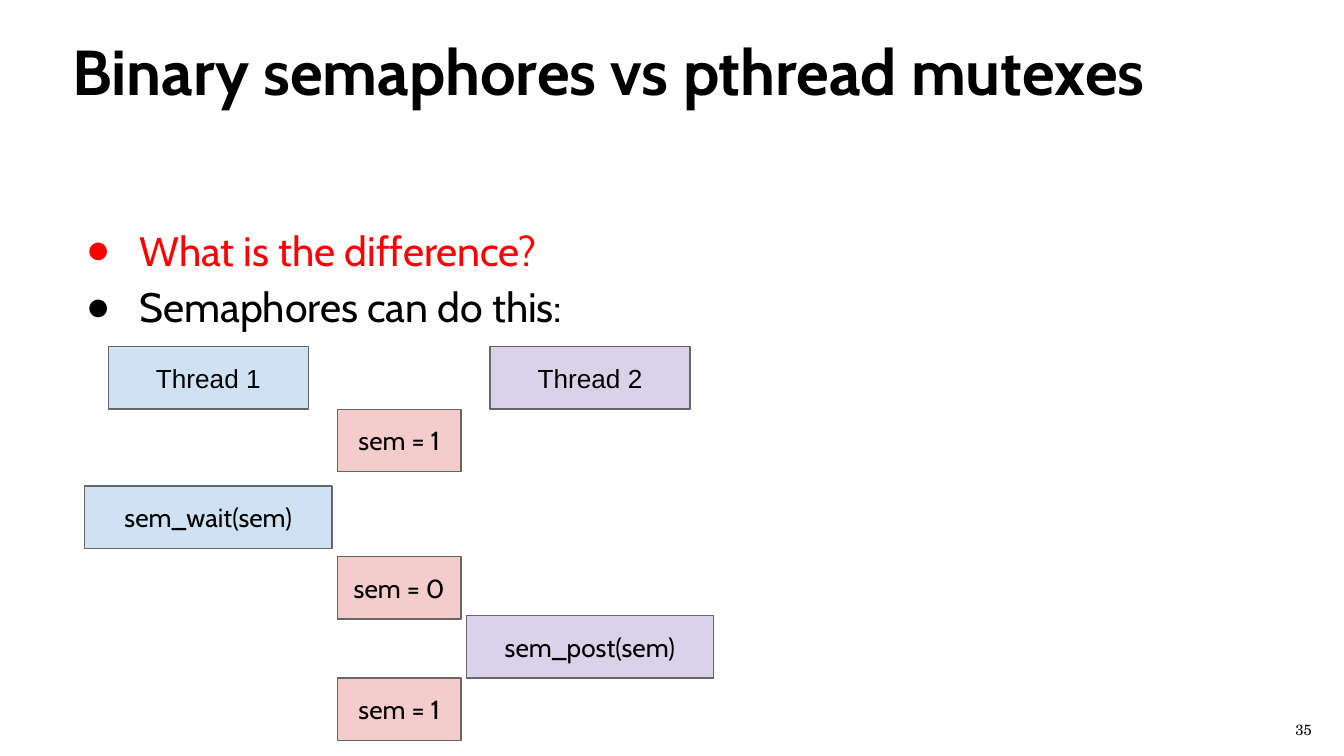
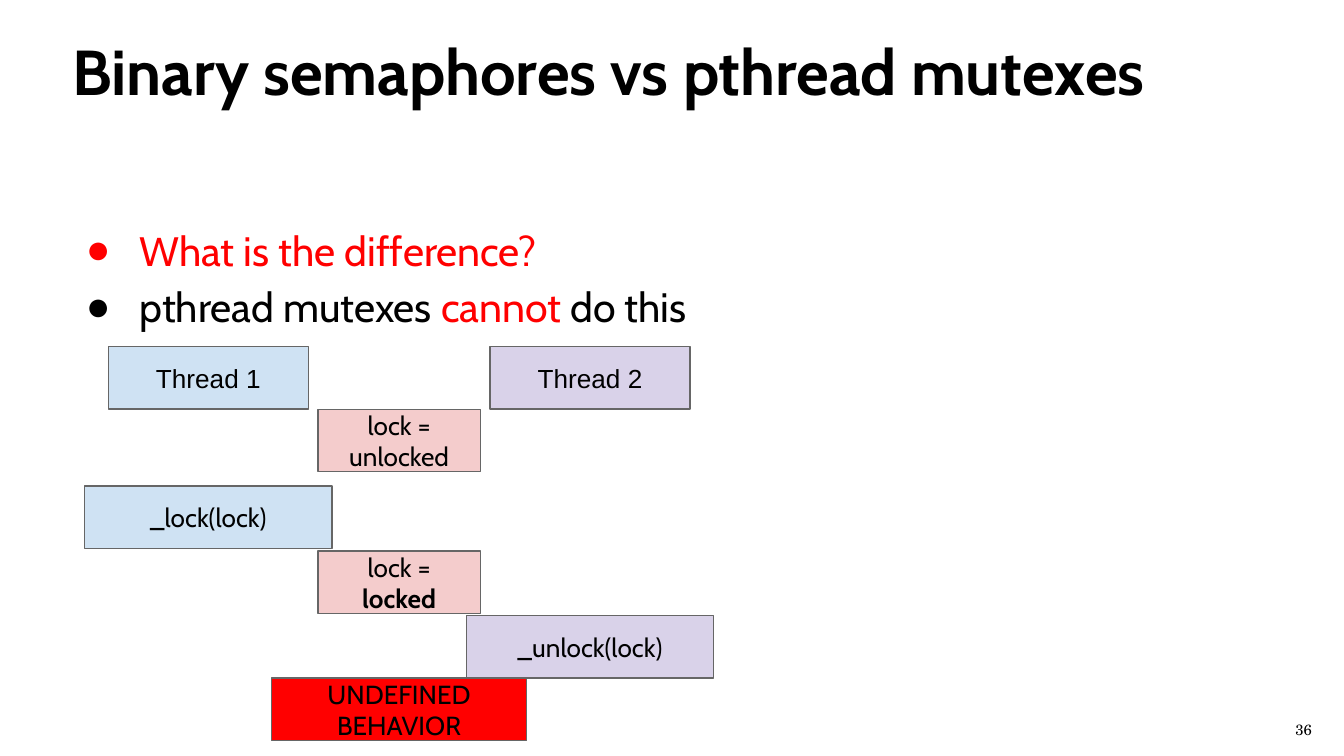
from dataclasses import dataclass

from lxml import etree
from pptx import Presentation
from pptx import util as u
from pptx.dml.color import RGBColor
from pptx.enum import shapes, text
from pptx.oxml import ns

PX = 4572
SLIDE_WIDTH, SLIDE_HEIGHT = 2000, 1125
INSET = 20
BOX_HEIGHT = 93

BLACK = RGBColor(0x00, 0x00, 0x00)
RED = RGBColor(0xFF, 0x00, 0x00)
WHITE = RGBColor(0xFF, 0xFF, 0xFF)
GRAY = RGBColor(0x66, 0x66, 0x66)
BLUE = RGBColor(0xCF, 0xE2, 0xF3)
PURPLE = RGBColor(0xD9, 0xD2, 0xE9)
PINK = RGBColor(0xF4, 0xCC, 0xCC)

CABIN = "Cabin"
ARIAL = "Arial"
SCHOLA = "TeX Gyre Schola"

TITLE = "Binary semaphores vs pthread mutexes"


@dataclass(frozen=True)
class Span:
    text: str
    color: RGBColor = BLACK
    bold: bool = False


@dataclass(frozen=True)
class Style:
    font: str
    size: int
    align: text.PP_ALIGN = text.PP_ALIGN.LEFT


@dataclass(frozen=True)
class Lane:
    center: int
    fill: RGBColor


@dataclass(frozen=True)
class Step:
    lane: Lane
    top: int
    width: int
    spans: tuple[Span, ...]
    font: str = CABIN


@dataclass(frozen=True)
class Page:
    number: int
    bullets: tuple[tuple[Span, ...], ...]
    steps: tuple[Step, ...]


TITLE_STYLE = Style(CABIN, 34)
BULLET_STYLE = Style(CABIN, 22)
NUMBER_STYLE = Style(SCHOLA, 8, text.PP_ALIGN.CENTER)

FIRST = Lane(310, BLUE)
SECOND = Lane(878, PURPLE)
STATE = Lane(594, PINK)
FAILURE = Lane(594, RED)

THREAD_WIDTH, CALL_WIDTH = 298, 368
SEM_WIDTH, LOCK_WIDTH, FAILURE_WIDTH = 184, 242, 380
HEADER_TOP, START_TOP, TAKE_TOP, RELEASE_TOP, END_TOP = 516, 609, 723, 916, 1009

QUESTION = (Span("What is the difference?", RED),)
THREADS = tuple(
    Step(lane, HEADER_TOP, THREAD_WIDTH, (Span(f"Thread {number}"),), ARIAL)
    for number, lane in enumerate((FIRST, SECOND), 1)
)


def calls(take: str, release: str) -> tuple[Step, ...]:
    return (
        Step(FIRST, TAKE_TOP, CALL_WIDTH, (Span(take),)),
        Step(SECOND, RELEASE_TOP, CALL_WIDTH, (Span(release),)),
    )


PAGES = (
    Page(
        35,
        (QUESTION, (Span("Semaphores can do this:"),)),
        calls("sem_wait(sem)", "sem_post(sem)")
        + THREADS
        + tuple(
            Step(STATE, top, SEM_WIDTH, (Span(f"sem = {value}"),))
            for top, value in ((START_TOP, 1), (828, 0), (END_TOP, 1))
        ),
    ),
    Page(
        36,
        (QUESTION, (Span("pthread mutexes "), Span("cannot", RED), Span(" do this"))),
        calls("_lock(lock)", "_unlock(lock)")
        + THREADS
        + (
            Step(STATE, START_TOP, LOCK_WIDTH, (Span("lock = unlocked"),)),
            Step(FAILURE, END_TOP, FAILURE_WIDTH, (Span("UNDEFINED BEHAVIOR"),)),
            Step(STATE, 820, LOCK_WIDTH, (Span("lock = "), Span("locked", bold=True))),
        ),
    ),
)


def px(length: int) -> u.Emu:
    return u.Emu(length * PX)


def prepare_frame(frame, anchor: text.MSO_ANCHOR) -> None:
    frame.word_wrap = True
    frame.auto_size = text.MSO_AUTO_SIZE.NONE
    frame.vertical_anchor = anchor
    frame.margin_left = frame.margin_right = px(INSET)
    frame.margin_top = frame.margin_bottom = px(INSET)


def write_spans(para, spans: tuple[Span, ...], style: Style) -> None:
    para.alignment = style.align
    para.font.name = style.font
    para.font.size = u.Pt(style.size)
    same_color = len({span.color for span in spans}) == 1
    same_weight = len({span.bold for span in spans}) == 1
    if same_color:
        para.font.color.rgb = spans[0].color
    if same_weight:
        para.font.bold = spans[0].bold
    for span in spans:
        run = para.add_run()
        run.text = span.text
        if not same_color:
            run.font.color.rgb = span.color
        if not same_weight:
            run.font.bold = span.bold


def add_bullet(para, color: RGBColor) -> None:
    para.line_spacing = 1.15
    properties = para._p.get_or_add_pPr()
    properties.set("marL", str(px(100)))
    properties.set("indent", str(px(-80)))
    bullet_color = etree.SubElement(properties, ns.qn("a:buClr"))
    etree.SubElement(bullet_color, ns.qn("a:srgbClr"), val=str(color))
    etree.SubElement(properties, ns.qn("a:buFont"), typeface=ARIAL)
    etree.SubElement(properties, ns.qn("a:buChar"), char="●")


def add_text(slide, left: int, top: int, width: int, height: int, anchor: text.MSO_ANCHOR):
    box = slide.shapes.add_textbox(px(left), px(top), px(width), px(height))
    prepare_frame(box.text_frame, anchor)
    return box.text_frame


def draw_bullets(slide, bullets: tuple[tuple[Span, ...], ...]) -> None:
    frame = add_text(slide, 88, 304, 1832, 804, text.MSO_ANCHOR.TOP)
    for index, spans in enumerate(bullets):
        para = frame.add_paragraph() if index else frame.paragraphs[0]
        add_bullet(para, spans[0].color)
        write_spans(para, spans, BULLET_STYLE)


def draw_step(slide, step: Step) -> None:
    box = slide.shapes.add_shape(
        shapes.MSO_SHAPE.RECTANGLE,
        px(step.lane.center - step.width // 2),
        px(step.top),
        px(step.width),
        px(BOX_HEIGHT),
    )
    box.shadow.inherit = False
    box.fill.solid()
    box.fill.fore_color.rgb = step.lane.fill
    box.line.color.rgb = GRAY
    box.line.width = u.Pt(0.75)
    prepare_frame(box.text_frame, text.MSO_ANCHOR.MIDDLE)
    style = Style(step.font, 14, text.PP_ALIGN.CENTER)
    write_spans(box.text_frame.paragraphs[0], step.spans, style)


def draw_page(deck, page: Page) -> None:
    slide = deck.slides.add_slide(deck.slide_layouts[6])
    slide.background.fill.solid()
    slide.background.fill.fore_color.rgb = WHITE
    number = add_text(slide, 1880, 1055, 120, 62, text.MSO_ANCHOR.MIDDLE)
    write_spans(number.paragraphs[0], (Span(str(page.number)),), NUMBER_STYLE)
    title = add_text(slide, 88, 28, 1644, 140, text.MSO_ANCHOR.TOP)
    write_spans(title.paragraphs[0], (Span(TITLE, bold=True),), TITLE_STYLE)
    draw_bullets(slide, page.bullets)
    for step in page.steps:
        draw_step(slide, step)


def main() -> None:
    deck = Presentation()
    deck.slide_width = px(SLIDE_WIDTH)
    deck.slide_height = px(SLIDE_HEIGHT)
    for page in PAGES:
        draw_page(deck, page)
    deck.save("out.pptx")


if __name__ == "__main__":
    main()
